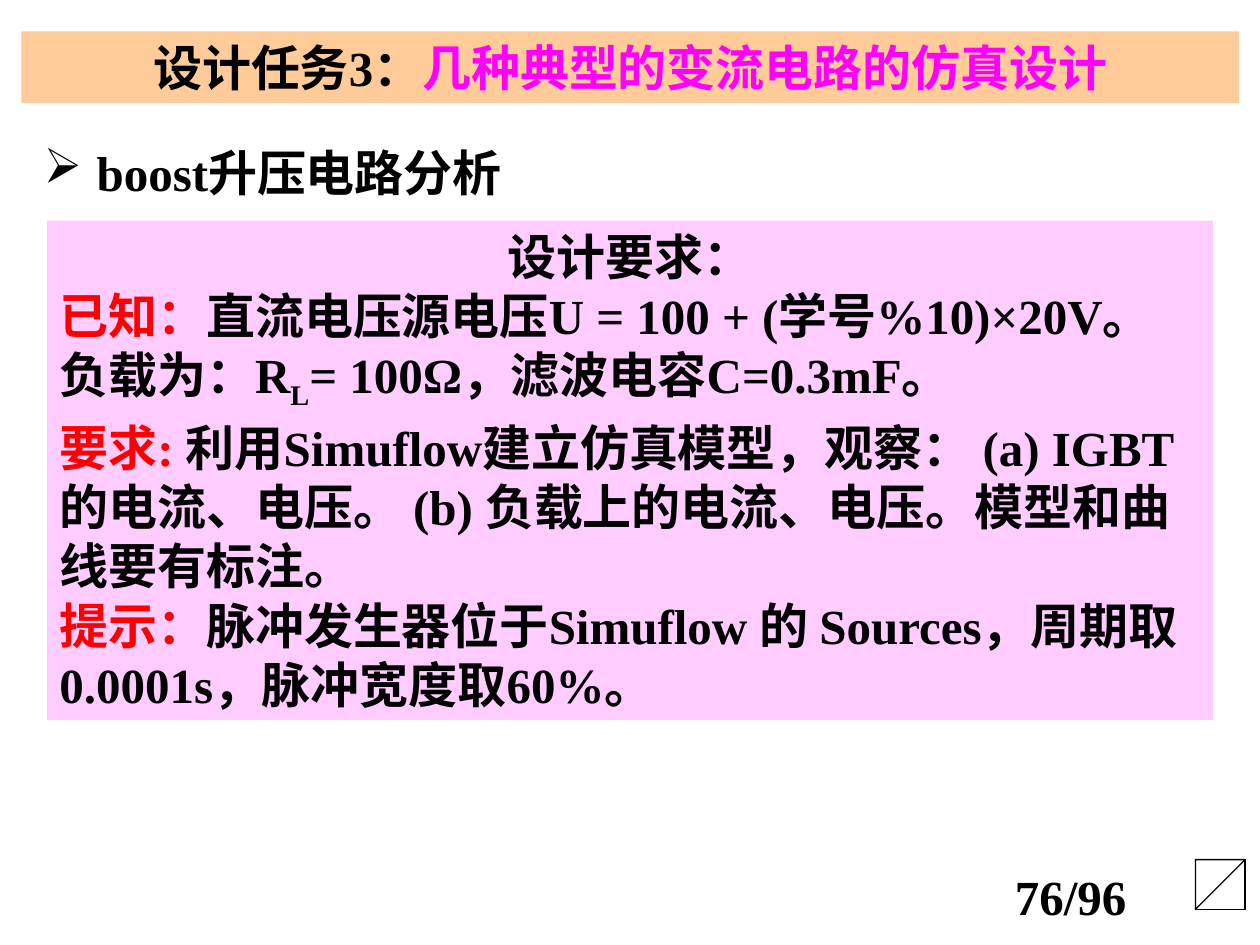
from dataclasses import dataclass

from lxml.etree import SubElement
from pptx import Presentation
from pptx.dml.color import RGBColor
from pptx.enum.shapes import MSO_SHAPE as Shape
from pptx.enum.text import MSO_ANCHOR as Anchor, MSO_AUTO_SIZE as AutoSize, PP_ALIGN as Align
from pptx.oxml.ns import qn
from pptx.util import Cm, Pt

BLACK = RGBColor(0x00, 0x00, 0x00)
RED = RGBColor(0xFF, 0x00, 0x00)
MAGENTA = RGBColor(0xFF, 0x00, 0xFF)
PEACH = RGBColor(0xFF, 0xCC, 0x99)
PINK = RGBColor(0xFF, 0xCC, 0xFF)
FONT = "Times New Roman"


@dataclass
class Span:
    text: str
    color: RGBColor = BLACK
    subscript: bool = False


@dataclass
class Line:
    spans: list[Span]
    align: Align = Align.LEFT


@dataclass
class Panel:
    top: float
    height: float
    lines: list[Line]


def write(box, lines: list[Line]) -> None:
    """Fill a shape with bold, top-anchored lines of coloured spans."""
    frame = box.text_frame
    frame.word_wrap = True
    frame.auto_size = AutoSize.NONE
    frame.vertical_anchor = Anchor.TOP
    for index, line in enumerate(lines):
        para = frame.paragraphs[0] if index == 0 else frame.add_paragraph()
        para.alignment = line.align
        para.space_before = Pt(0)
        para.font.name, para.font.size, para.font.bold = FONT, Pt(28), True
        for span in line.spans:
            run = para.add_run()
            run.text = span.text
            run.font.color.rgb = span.color
            if span.subscript:
                run.font._element.set("baseline", "-25000")


def add_text(page, left: float, top: float, width: float, height: float, line: Line):
    box = page.shapes.add_textbox(Cm(left), Cm(top), Cm(width), Cm(height))
    write(box, [line])
    return box


def add_panel(page, panel: Panel) -> None:
    box = page.shapes.add_shape(Shape.RECTANGLE, Cm(0.95), Cm(panel.top), Cm(23.5), Cm(panel.height))
    box.shadow.inherit = False
    box.fill.solid()
    box.fill.fore_color.rgb = PINK
    box.line.fill.background()
    write(box, panel.lines)


def add_arrow_bullet(para) -> None:
    properties = para._p.get_or_add_pPr()
    indent = Cm(1.07)
    properties.set("marL", str(indent))
    properties.set("indent", str(-indent))
    bullet = SubElement(properties, qn("a:buChar"))
    bullet.set("char", "➢")
    # The bullet must come before the default run properties
    properties.find(qn("a:defRPr")).addprevious(bullet)


def rectangle(left: float, top: float, right: float, bottom: float) -> list[tuple[float, float]]:
    return [(left, top), (right, top), (right, bottom), (left, bottom)]


def add_end_button(page, left: float, top: float, size: float, bevel: float) -> None:
    """Bevelled frame around a triangle and a bar, drawn as one outline."""
    outer = rectangle(0, 0, size, size)
    inner = rectangle(bevel, bevel, size - bevel, size - bevel)
    sides = [
        [outer[i], outer[(i + 1) % 4], inner[(i + 1) % 4], inner[i]] for i in range(4)
    ]
    triangle = [(0.66, 0.5), (0.18, 0.83), (0.18, 0.17)]
    bar = rectangle(0.74, 0.17, 0.82, 0.83)
    icons = [[(x * size, y * size) for x, y in icon] for icon in (triangle, bar)]

    builder = page.shapes.build_freeform(0, 0, scale=Cm(1))
    for number, points in enumerate([outer, *sides, *icons]):
        if number:
            builder.move_to(*points[0])
        builder.add_line_segments(points[1:], close=True)
    button = builder.convert_to_shape(Cm(left), Cm(top))
    button.shadow.inherit = False
    button.fill.background()
    button.line.color.rgb = BLACK
    button.line.width = Pt(0.75)


PANELS = [
    Panel(4.45, 3.98, [
        Line([Span("设计要求：")], Align.CENTER),
        Line([
            Span("已知：", RED),
            Span("直流电压源电压U = 100 + (学号%10)×20V。负载为：R"),
            Span("L", subscript=True),
            Span("= 100Ω，滤波电容C=0.3mF。"),
        ]),
    ]),
    Panel(8.3, 3.82, [Line([
        Span("要求: ", RED),
        Span("利用Simuflow建立仿真模型，观察： (a) IGBT的电流、电压。 (b) 负载上的电流、电压。模型和曲线要有标注。"),
    ])]),
    Panel(11.89, 2.63, [Line([
        Span("提示：", RED),
        Span("脉冲发生器位于Simuflow 的 Sources，周期取0.0001s，脉冲宽度取60%。"),
    ])]),
]


def main() -> None:
    deck = Presentation()
    deck.slide_width, deck.slide_height = Cm(25.4), Cm(19.05)
    page = deck.slides.add_slide(deck.slide_layouts[5])

    # Page number
    add_text(page, 19.47, 17.35, 4.23, 1.6, Line([Span("76/96")], Align.CENTER))

    # Title band
    title = page.shapes.title
    title.left, title.top, title.width, title.height = Cm(0.43), Cm(0.63), Cm(24.55), Cm(1.45)
    title.fill.solid()
    title.fill.fore_color.rgb = PEACH
    write(title, [Line([Span("设计任务3："), Span("几种典型的变流电路的仿真设计", MAGENTA)], Align.CENTER)])

    # Bulleted heading
    heading = add_text(page, 0.63, 2.75, 24.34, 1.45, Line([Span("boost升压电路分析")]))
    add_arrow_bullet(heading.text_frame.paragraphs[0])

    # Requirements
    for panel in PANELS:
        add_panel(page, panel)

    # Navigation button
    add_end_button(page, 24.1, 17.33, 1, 0.06)

    deck.save("out.pptx")


if __name__ == "__main__":
    main()
